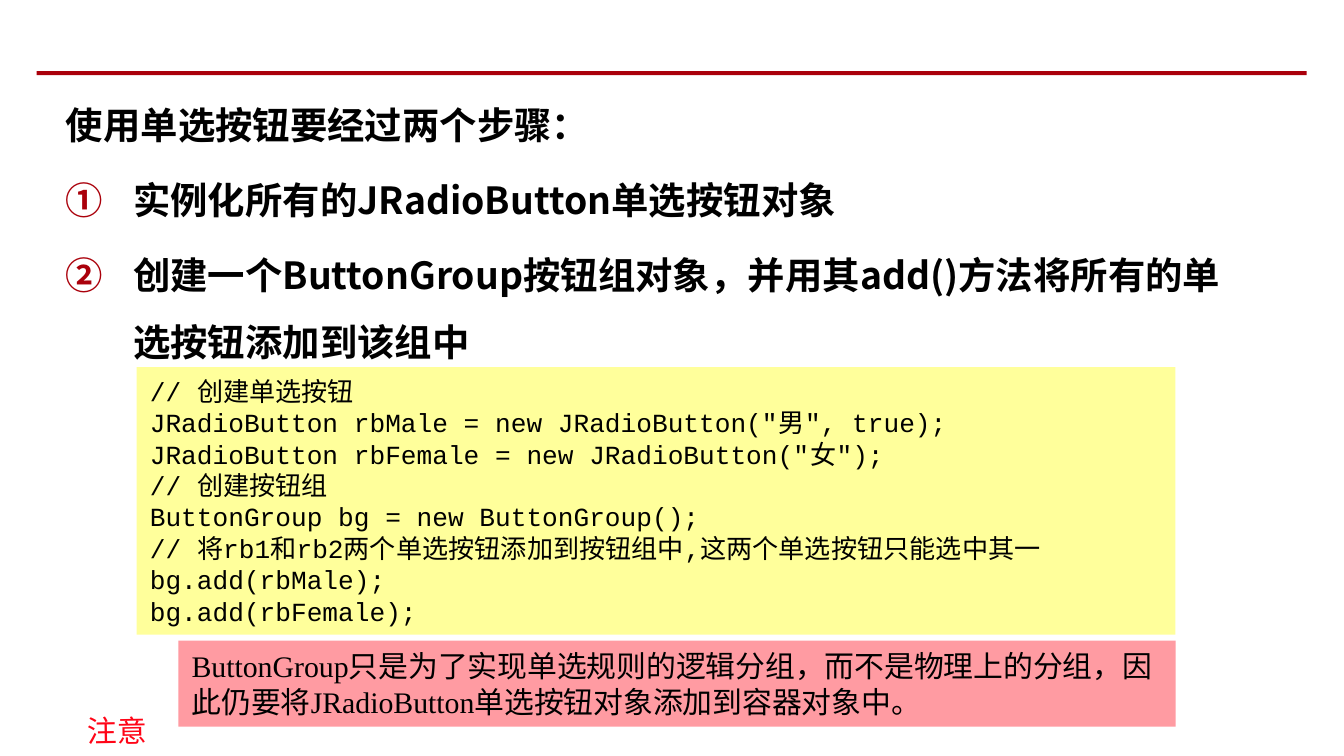
from dataclasses import dataclass

import pptx
import pptx.dml.color
import pptx.enum.shapes
import pptx.enum.text
import pptx.oxml.ns
import pptx.util
from lxml import etree

CJK, CODE, SERIF, SANS = "Noto Sans CJK SC", "Courier New", "Times New Roman", "Calibri"
RED, BLACK = "AA000B", "000000"

# Widescreen slide, 16:9
prs = pptx.Presentation()
prs.slide_width = pptx.util.Inches(10)
prs.slide_height = prs.slide_width * 9 // 16


@dataclass
class Box:
    """Place and size in percent of the slide."""
    x: float
    y: float
    w: float
    h: float

    def emu(self) -> list[int]:
        width, height = prs.slide_width, prs.slide_height
        return [round(share * side / 100) for share, side in
                ((self.x, width), (self.y, height), (self.w, width), (self.h, height))]


@dataclass
class Panel:
    """Filled rectangle; each line is a list of (text, font) runs."""
    box: Box
    fill: str
    size: float = 14
    lines: tuple = ()


def color(value: str) -> pptx.dml.color.RGBColor:
    return pptx.dml.color.RGBColor.from_string(value)


def add_xml(parent, tag: str, **attributes: str):
    return etree.SubElement(parent, pptx.oxml.ns.qn(tag), attributes)


def set_font(p, size: float, name: str, rgb: str = BLACK, bold: bool = False) -> None:
    font = p.font
    font.size, font.name, font.bold = pptx.util.Pt(size), name, bold
    font.color.rgb = color(rgb)
    add_xml(p._p.pPr.find(pptx.oxml.ns.qn("a:defRPr")), "a:ea", typeface=CJK)


def add_panel(s, panel: Panel) -> None:
    sp = s.shapes.add_shape(pptx.enum.shapes.MSO_SHAPE.RECTANGLE, *panel.box.emu())
    sp.shadow.inherit = False
    sp.fill.solid()
    sp.fill.fore_color.rgb = color(panel.fill)
    sp.line.fill.background()
    tf = sp.text_frame
    tf.word_wrap = True
    tf.vertical_anchor = pptx.enum.text.MSO_ANCHOR.MIDDLE
    for i, line in enumerate(panel.lines):
        p = tf.add_paragraph() if i else tf.paragraphs[0]
        p.alignment = pptx.enum.text.PP_ALIGN.LEFT
        set_font(p, panel.size, line[0][1])
        for text, name in line:
            r = p.add_run()
            r.text = text
            if name != line[0][1]:
                r.font.name = name


def add_step(p, text: str, indent: float, numbered: bool) -> None:
    p.text = text
    p.line_spacing = 1.5
    p.space_before = pptx.util.Pt(4)
    pPr = p._p.get_or_add_pPr()
    pPr.set("marL", str(pptx.util.Inches(indent)))
    pPr.set("indent", str(-pptx.util.Inches(indent)))
    if numbered:
        add_xml(add_xml(pPr, "a:buClr"), "a:srgbClr", val=RED)
        add_xml(pPr, "a:buFont", typeface=CJK)
        add_xml(pPr, "a:buAutoNum", type="circleNumDbPlain")
    else:
        add_xml(pPr, "a:buNone")
    set_font(p, 20, CJK, bold=True)


s = prs.slides.add_slide(prs.slide_layouts[1])
title = s.shapes.title
title.element.getparent().remove(title.element)

# Header rule
add_panel(s, Panel(Box(2.73, 9.42, 94.5, 0.53), RED))

# Steps
body = s.placeholders[1]
body.left, body.top, body.width, body.height = Box(3.9, 9.7, 89.8, 87.47).emu()
tf = body.text_frame
tf.auto_size = pptx.enum.text.MSO_AUTO_SIZE.NONE
STEPS = [
    ("使用单选按钮要经过两个步骤：", 0.38, False),
    ("实例化所有的JRadioButton单选按钮对象", 0.5, True),
    ("创建一个ButtonGroup按钮组对象，并用其add()方法将所有的单选按钮添加到该组中", 0.5, True),
]
for i, step in enumerate(STEPS):
    add_step(tf.add_paragraph() if i else tf.paragraphs[0], *step)

# Code listing
LISTING = """// 创建单选按钮
JRadioButton rbMale = new JRadioButton("男", true);
JRadioButton rbFemale = new JRadioButton("女");
// 创建按钮组
ButtonGroup bg = new ButtonGroup();
// 将rb1和rb2两个单选按钮添加到按钮组中,这两个单选按钮只能选中其一
bg.add(rbMale);
bg.add(rbFemale);"""
add_panel(s, Panel(Box(10.17, 48.56, 77.3, 35.38), "FFFF9B", 14,
                   tuple([(line, CODE)] for line in LISTING.splitlines())))

# Tilted label
label = s.shapes.add_textbox(*Box(5.5, 93.36, 7, 6.58).emu())
label.rotation = 359
label.text_frame.word_wrap = True
p = label.text_frame.paragraphs[0]
p.text = "注意"
set_font(p, 16, CJK, "FF0517")

# Note
add_panel(s, Panel(Box(13.27, 84.75, 74.2, 11.38), "FF9BA2", 16, ([
    ("ButtonGroup", SERIF),
    ("只是为了实现单选规则的逻辑分组，而不是物理上的分组，因此仍要将", SANS),
    ("JRadioButton", SERIF),
    ("单选按钮对象添加到容器对象中。", SANS),
],)))

prs.save("out.pptx")
